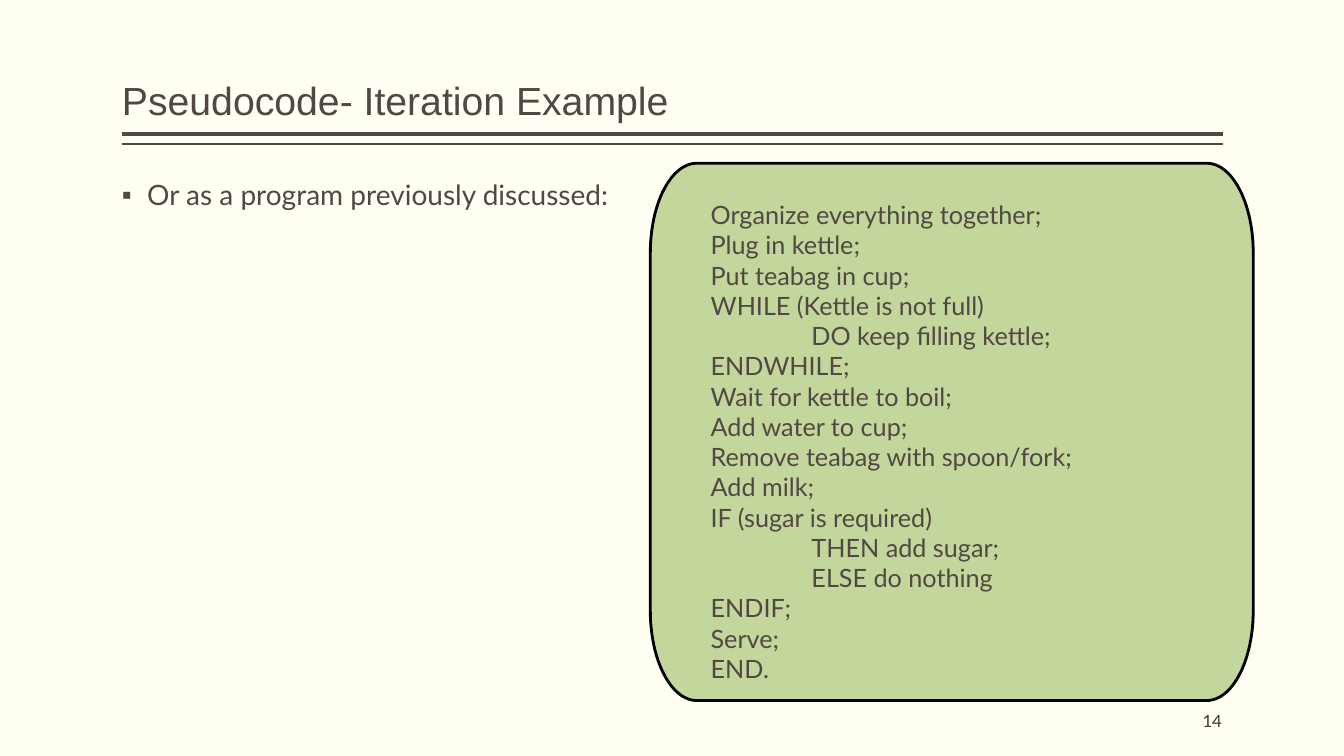
import math
import pptx
import pptx.util
import pptx.dml.color
import pptx.enum.text
import pptx.oxml.ns
import lxml.etree

Inches = pptx.util.Inches
Pt = pptx.util.Pt
Align = pptx.enum.text.PP_ALIGN
Anchor = pptx.enum.text.MSO_ANCHOR
qn = pptx.oxml.ns.qn

INK = "514843"
STEPS = [
    (0, "Organize everything together;"),
    (0, "Plug in kettle;"),
    (0, "Put teabag in cup;"),
    (0, "WHILE (Kettle is not full)"),
    (1, "DO keep filling kettle;"),
    (0, "ENDWHILE;"),
    (0, "Wait for kettle to boil;"),
    (0, "Add water to cup;"),
    (0, "Remove teabag with spoon/fork;"),
    (0, "Add milk;"),
    (0, "IF (sugar is required)"),
    (1, "THEN add sugar;"),
    (1, "ELSE do nothing"),
    (0, "ENDIF;"),
    (0, "Serve;"),
    (0, "END."),
]


def color(code):
    return pptx.dml.color.RGBColor.from_string(code)


def style(para, size, font="Lato", ink=INK):
    for run in para.runs:
        run.font.size = Pt(size)
        run.font.name = font
        run.font.color.rgb = color(ink)


def label(slide, box, text, size, anchor=Anchor.TOP, **look):
    """Add a one-paragraph text box and return its paragraph."""
    frame = slide.shapes.add_textbox(*map(Inches, box)).text_frame
    frame.word_wrap = True
    frame.margin_left = frame.margin_right = 0
    frame.vertical_anchor = anchor
    frame.text = text
    para = frame.paragraphs[0]
    style(para, size, **look)
    return para


def rule(slide, left, right, y, width):
    line = slide.shapes.add_connector(
        pptx.enum.shapes.MSO_CONNECTOR.STRAIGHT,
        Inches(left), Inches(y), Inches(right), Inches(y))
    line.line.color.rgb = color(INK)
    line.line.width = Pt(width)
    lxml.etree.SubElement(line._element.spPr, qn("a:effectLst"))


def header(slide, left, top, width, height):
    para = label(slide, (left, top, width, height),
                 "Pseudocode- Iteration Example", 28, Anchor.BOTTOM, font="Arial")
    para.line_spacing = 0.9
    # Double rule under the title
    base = top + height
    for gap, weight in ((0.05, 3), (0.15, 1)):
        rule(slide, left, left + width, base + gap, weight)


def body(slide, *box):
    para = label(slide, box, "Or as a program previously discussed:", 20)
    para.line_spacing = 0.9
    # Square bullet with a hanging indent
    props = para._p.get_or_add_pPr()
    props.set("marL", str(Inches(0.25)))
    props.set("indent", str(-Inches(0.25)))
    lxml.etree.SubElement(props, qn("a:buFont"), typeface="Arial")
    lxml.etree.SubElement(props, qn("a:buChar"), char="\u25aa")


def panel(slide, left, top, width, height):
    # Outline with elliptical corners, clockwise from the left edge
    rx, ry, cuts = 0.46, 0.89, 24
    near, far = left + rx, left + width - rx
    high, low = top + ry, top + height - ry
    centers = [(near, high), (far, high), (far, low), (near, low)]
    points = []
    for turn, (x, y) in enumerate(centers):
        for cut in range(cuts + 1):
            angle = math.pi * (1 + (turn + cut / cuts) / 2)
            points.append((Inches(x + rx * math.cos(angle)),
                           Inches(y + ry * math.sin(angle))))
    build = slide.shapes.build_freeform(*points[0])
    build.add_line_segments(points[1:], close=True)
    card = build.convert_to_shape()
    card.shadow.inherit = False
    card.fill.solid()
    card.fill.fore_color.rgb = color("C3D69B")
    card.line.color.rgb = color("000000")
    card.line.width = Pt(2)

    # Program steps
    frame = card.text_frame
    frame.word_wrap = True
    frame.vertical_anchor = Anchor.TOP
    frame.margin_top = Inches(0.36)
    frame.margin_left = Inches(0.1)
    frame.text = "\n".join(text for _, text in STEPS)
    for para, (depth, _) in zip(frame.paragraphs, STEPS):
        para.alignment = Align.LEFT
        para._p.get_or_add_pPr().set("marL", str(Inches(0.5 + depth)))
        style(para, 18)


def footer(slide, *box):
    para = label(slide, box, "14", 12, Anchor.MIDDLE, ink="3D3632")
    para.alignment = Align.RIGHT


deck = pptx.Presentation()
deck.slide_width, deck.slide_height = Inches(13.33), Inches(7.5)
slide = deck.slides.add_slide(deck.slide_layouts[6])
slide.background.fill.solid()
slide.background.fill.fore_color.rgb = color("FFFFF3")

header(slide, 1.21, 0.08, 10.92, 1.2)
body(slide, 1.21, 1.75, 5.1, 5)
footer(slide, 10.12, 6.95, 2, 0.4)
panel(slide, 6.45, 1.62, 5.98, 5.33)
deck.save("out.pptx")
